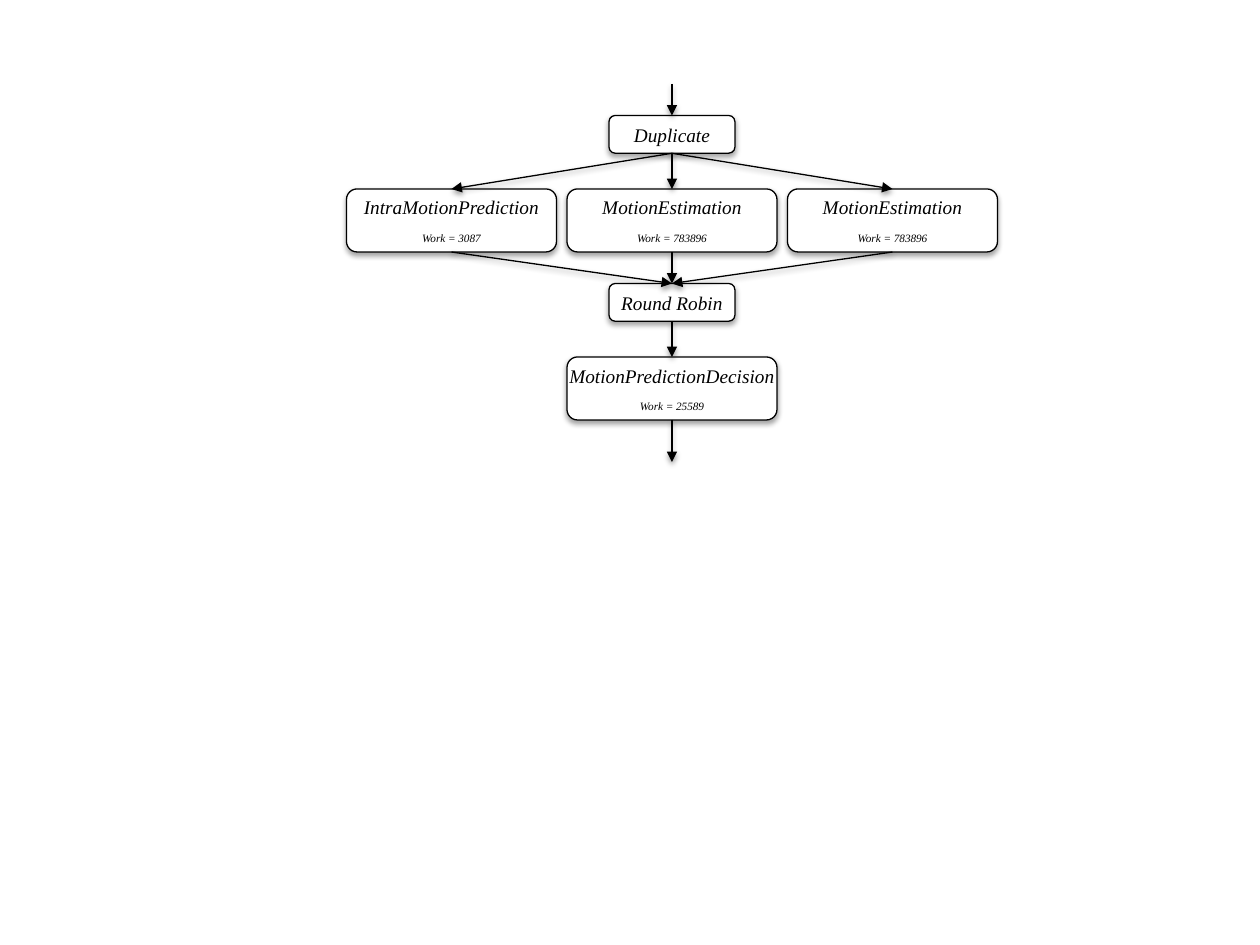
from lxml import etree
from pptx import Presentation
from pptx.dml.color import RGBColor
from pptx.enum.shapes import MSO_CONNECTOR, MSO_SHAPE
from pptx.enum.text import MSO_ANCHOR, PP_ALIGN
from pptx.oxml.ns import qn
from pptx.util import Pt

ROUND_RECT = MSO_SHAPE.ROUNDED_RECTANGLE
STRAIGHT = MSO_CONNECTOR.STRAIGHT
MIDDLE = MSO_ANCHOR.MIDDLE
CENTER = PP_ALIGN.CENTER
BLACK = RGBColor(0, 0, 0)
WHITE = RGBColor(255, 255, 255)
TOP, BOTTOM = 0, 2

# Content: key, column, top, lines of text
NODES = [
    ("left", -1, 108, ["IntraMotionPrediction", "Work = 3087"]),
    ("mid", 0, 108, ["MotionEstimation", "Work = 783896"]),
    ("right", 1, 108, ["MotionEstimation", "Work = 783896"]),
    ("split", 0, 66, ["Duplicate"]),
    ("join", 0, 162, ["Round Robin"]),
    ("decide", 0, 204, ["MotionPredictionDecision", "Work = 25589"]),
]
EDGES = [
    ("split", "mid"), ("split", "right"), ("split", "left"),
    ("left", "join"), ("mid", "join"), ("right", "join"),
    (None, "split"), ("join", "decide"), ("decide", None),
]

# Layout, in points
CENTER_X, COLUMN_STEP = 384, 126
NODE_SIZES = {1: (72, 21.6), 2: (120, 36)}  # by number of text lines
ENTRY_Y, EXIT_Y = 48, 264
LINE_WIDTH = 0.75
FONT = {"name": "Times New Roman", "size": Pt(11), "italic": True}


def add_shadow(spPr, distance, alpha):
    effects = spPr.find(qn("a:effectLst"))
    if effects is None:
        effects = etree.SubElement(spPr, qn("a:effectLst"))
    outer = etree.SubElement(
        effects, qn("a:outerShdw"), blurRad=str(Pt(3.1)),
        dist=str(Pt(distance)), dir="5400000", rotWithShape="0")
    color = etree.SubElement(outer, qn("a:srgbClr"), val=str(BLACK))
    etree.SubElement(color, qn("a:alpha"), val=str(alpha * 1000))


def style_line(line):
    line.color.rgb = BLACK
    line.width = Pt(LINE_WIDTH)


def add_node(slide, column, top, lines):
    width, height = NODE_SIZES[len(lines)]
    left = CENTER_X + column * COLUMN_STEP - width / 2
    sp = slide.shapes.add_shape(
        ROUND_RECT, Pt(left), Pt(top), Pt(width), Pt(height))
    sp.fill.solid()
    sp.fill.fore_color.rgb = WHITE
    style_line(sp.line)
    sp.shadow.inherit = False
    add_shadow(sp._element.spPr, 1.8, 35)

    tf = sp.text_frame
    tf.word_wrap = False
    tf.vertical_anchor = MIDDLE
    for i, text in enumerate(lines):
        p = tf.add_paragraph() if i else tf.paragraphs[0]
        p.alignment = CENTER
        r = p.add_run()
        r.text = text
        for name, value in FONT.items():
            setattr(r.font, name, value)
        r.font.color.rgb = BLACK
        if i:  # the work figure is a subscript
            r._r.get_or_add_rPr().set("baseline", "-25000")
    return sp


def add_arrow(slide, source, target):
    x = Pt(CENTER_X)
    cxn = slide.shapes.add_connector(
        STRAIGHT, x, Pt(ENTRY_Y), x, Pt(EXIT_Y))
    if source is not None:
        cxn.begin_connect(source, BOTTOM)
    if target is not None:
        cxn.end_connect(target, TOP)
    style_line(cxn.line)
    etree.SubElement(cxn.line._get_or_add_ln(), qn("a:tailEnd"), type="triangle")
    add_shadow(cxn._element.spPr, 1.6, 38)


def main():
    prs = Presentation()
    prs.slide_width, prs.slide_height = Pt(720), Pt(540)
    slide = prs.slides.add_slide(prs.slide_layouts[6])

    # Boxes, then the arrows between them
    nodes = {key: add_node(slide, *rest) for key, *rest in NODES}
    for source, target in EDGES:
        add_arrow(slide, nodes.get(source), nodes.get(target))

    prs.save("out.pptx")


if __name__ == "__main__":
    main()
